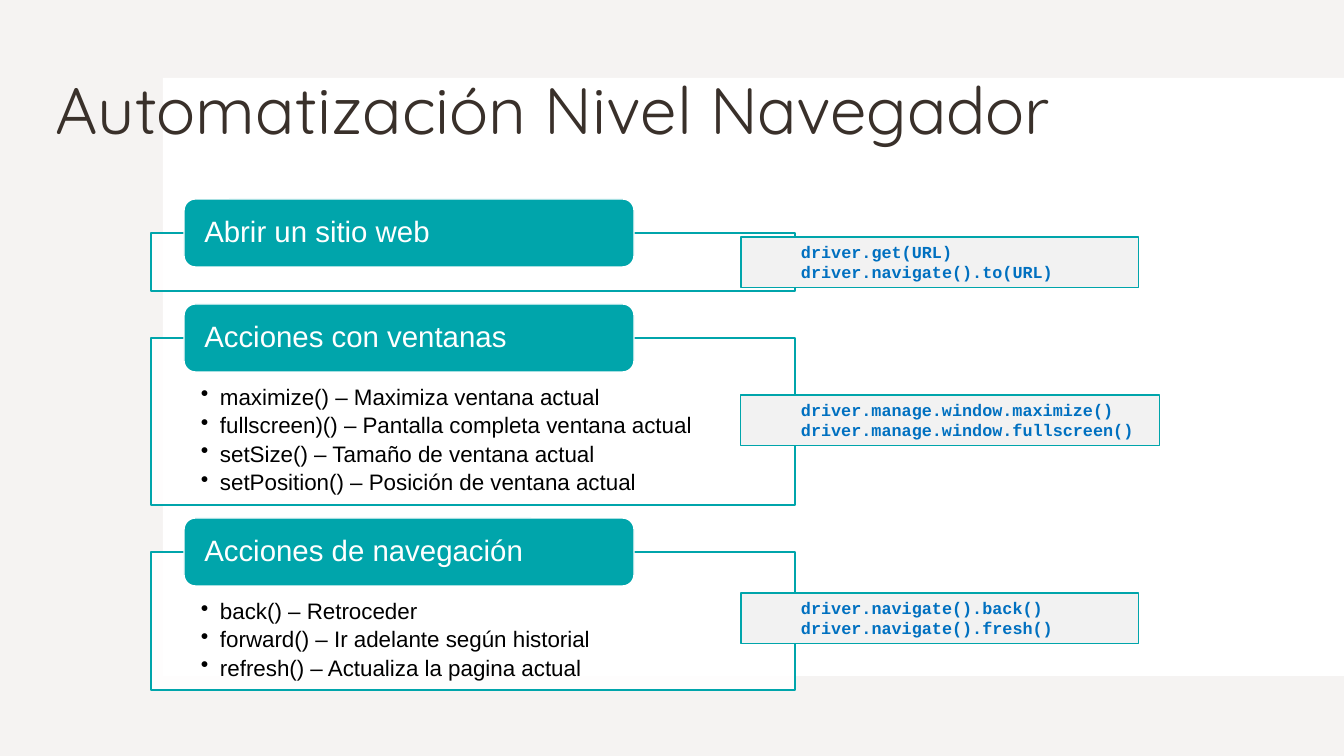
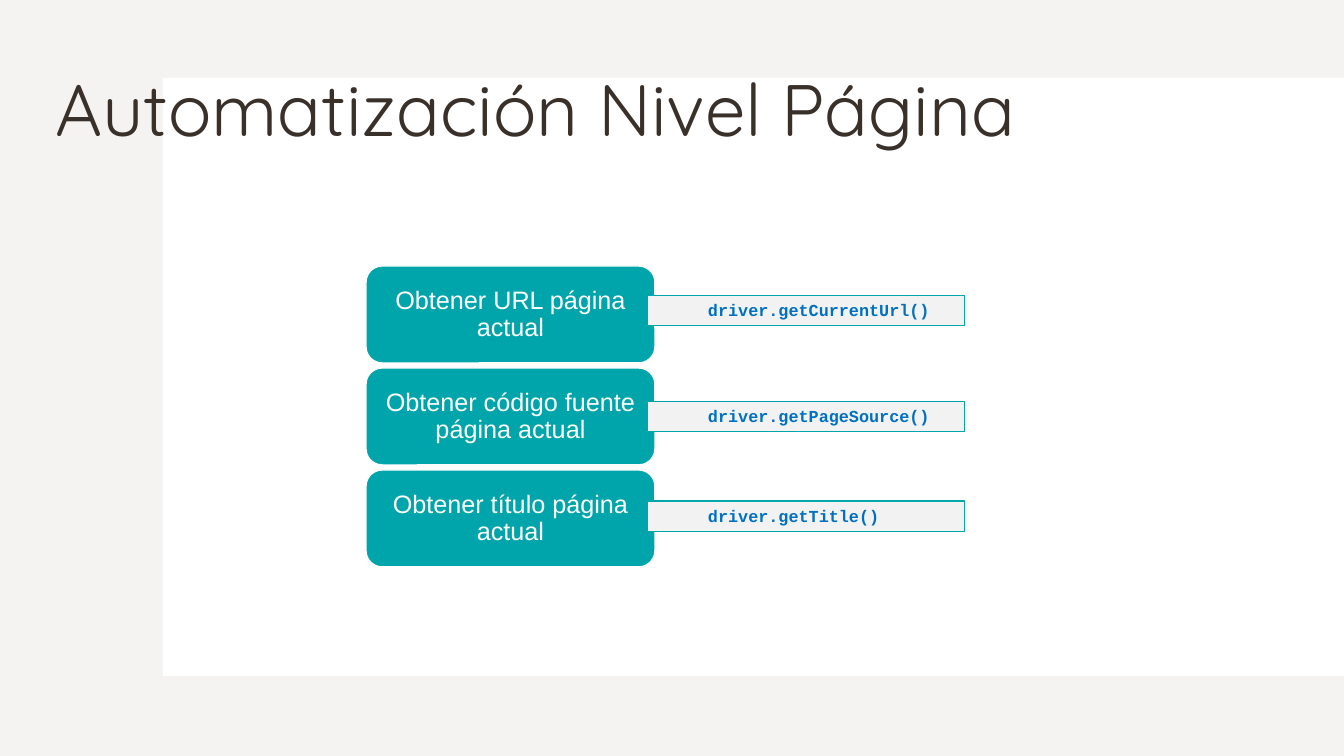
from lxml import etree
from pptx import Presentation
from pptx.dml.color import RGBColor
from pptx.enum.shapes import MSO_SHAPE
from pptx.enum.text import MSO_ANCHOR, PP_ALIGN
from pptx.oxml.ns import qn
from pptx.util import Pt

RECT, ROUNDED = MSO_SHAPE.RECTANGLE, MSO_SHAPE.ROUNDED_RECTANGLE
TOP, MIDDLE = MSO_ANCHOR.TOP, MSO_ANCHOR.MIDDLE
LEFT, CENTER = PP_ALIGN.LEFT, PP_ALIGN.CENTER

WHITE = RGBColor(0xFF, 0xFF, 0xFF)
BLACK = RGBColor(0x00, 0x00, 0x00)
SAND = RGBColor(0xE5, 0xDE, 0xDB)
BROWN = RGBColor(0x39, 0x30, 0x2A)
TEAL = RGBColor(0x00, 0xA5, 0xAB)
GRAY = RGBColor(0xF2, 0xF2, 0xF2)
BLUE = RGBColor(0x00, 0x70, 0xC0)

SLIDE_W, SLIDE_H = 1344, 756
SCALE = 12192000 / SLIDE_W

BROWSER_TITLE = "Automatización Nivel Navegador"
BROWSER_SECTIONS = [
    {
        "heading": "Abrir un sitio web",
        "actions": [],
        "height": 58,
        "code": ["driver.get(URL)", "driver.navigate().to(URL)"],
        "code_top": 237,
        "code_width": 398,
    },
    {
        "heading": "Acciones con ventanas",
        "actions": [
            "maximize() – Maximiza ventana actual",
            "fullscreen)() – Pantalla completa ventana actual",
            "setSize() – Tamaño de ventana actual",
            "setPosition() – Posición de ventana actual",
        ],
        "height": 167,
        "code": ["driver.manage.window.maximize()",
                 "driver.manage.window.fullscreen()"],
        "code_top": 395,
        "code_width": 419,
    },
    {
        "heading": "Acciones de navegación",
        "actions": [
            "back() – Retroceder",
            "forward() – Ir adelante según historial",
            "refresh() – Actualiza la pagina actual",
        ],
        "height": 138,
        "code": ["driver.navigate().back()", "driver.navigate().fresh()"],
        "code_top": 593,
        "code_width": 398,
    },
]

PAGE_TITLE = "Automatización Nivel Página"
PAGE_QUERIES = [
    ("Obtener URL página actual", "driver.getCurrentUrl()", 295),
    ("Obtener código fuente página actual", "driver.getPageSource()", 401),
    ("Obtener título página actual", "driver.getTitle()", 501),
]


def px(length):
    return round(length * SCALE)


def add_box(slide, kind, area, fill, line=None, line_pt=1, opacity=100):
    box = slide.shapes.add_shape(kind, *map(px, area))
    box.shadow.inherit = False
    box.fill.solid()
    box.fill.fore_color.rgb = fill
    if opacity < 100:
        color = box.fill._xPr.find(qn("a:solidFill"))[0]
        etree.SubElement(color, qn("a:alpha"), val=str(opacity * 1000))
    if line is None:
        box.line.fill.background()
    else:
        box.line.color.rgb = line
        box.line.width = Pt(line_pt)
    return box


def write(shape, lines, *, size, color, font="Arial", bold=False, align=LEFT,
          anchor=MIDDLE, insets=(10, 5, 10, 5), spacing=0.9, after=0,
          margin=0, bullet=None):
    frame = shape.text_frame
    frame.word_wrap = True
    frame.vertical_anchor = anchor
    (frame.margin_left, frame.margin_top,
     frame.margin_right, frame.margin_bottom) = map(px, insets)
    for index, line in enumerate(lines):
        paragraph = frame.add_paragraph() if index else frame.paragraphs[0]
        paragraph.alignment = align
        paragraph.line_spacing = spacing
        paragraph.space_after = Pt(after)
        properties = paragraph._p.get_or_add_pPr()
        properties.set("marL", str(px(margin)))
        properties.set("indent", str(px(-margin if bullet else 0)))
        if bullet:
            etree.SubElement(properties, qn("a:buChar"), char=bullet)
        run = paragraph.add_run()
        run.text = line
        run.font.name = font
        run.font.size = Pt(size)
        run.font.bold = bold
        run.font.color.rgb = color


def add_base(deck, title, size):
    slide = deck.slides.add_slide(deck.slide_layouts[6])
    add_box(slide, RECT, (0, 0, SLIDE_W, SLIDE_H), SAND, opacity=35)
    add_box(slide, RECT, (163, 78, SLIDE_W - 163, 598), WHITE)
    heading = slide.shapes.add_textbox(*map(px, (46, 40, 1162, 146)))
    write(heading, [title], size=size, color=BROWN, font="Quicksand")
    return slide


def add_code(slide, area, lines):
    code = add_box(slide, RECT, area, GRAY, TEAL, 0.75)
    write(code, lines, size=12, color=BLUE, font="Courier New", bold=True,
          anchor=TOP, spacing=1.0, margin=50)


def build_browser(deck):
    slide = add_base(deck, BROWSER_TITLE, 46.8)
    top, gap, tab_height = 233, 47, 68
    for section in BROWSER_SECTIONS:
        frame = add_box(slide, RECT, (151, top, 644, section["height"]),
                        WHITE, TEAL, opacity=90)
        if section["actions"]:
            write(frame, section["actions"], size=16, color=BLACK, anchor=TOP,
                  insets=(50, 48, 50, 12), after=3, margin=19, bullet="•")
        tab = add_box(slide, ROUNDED,
                      (184, top - tab_height / 2, 450, tab_height), TEAL, WHITE)
        write(tab, [section["heading"]], size=21, color=WHITE,
              insets=(17, 0, 17, 0))
        top += section["height"] + gap
    for section in BROWSER_SECTIONS:
        add_code(slide, (741, section["code_top"], section["code_width"], 51),
                 section["code"])


def build_page(deck):
    slide = add_base(deck, PAGE_TITLE, 52)
    height, gap = 97, 5
    for index, (query, code, code_top) in enumerate(PAGE_QUERIES):
        area = (366, 266 + index * (height + gap), 289, height)
        card = add_box(slide, ROUNDED, area, TEAL, WHITE)
        write(card, [query], size=18, color=WHITE, align=CENTER,
              insets=(7, 4, 7, 4))
        add_code(slide, (648, code_top, 317, 31), [code])


def main():
    deck = Presentation()
    deck.slide_width, deck.slide_height = px(SLIDE_W), px(SLIDE_H)
    build_browser(deck)
    build_page(deck)
    deck.save("out.pptx")


if __name__ == "__main__":
    main()
